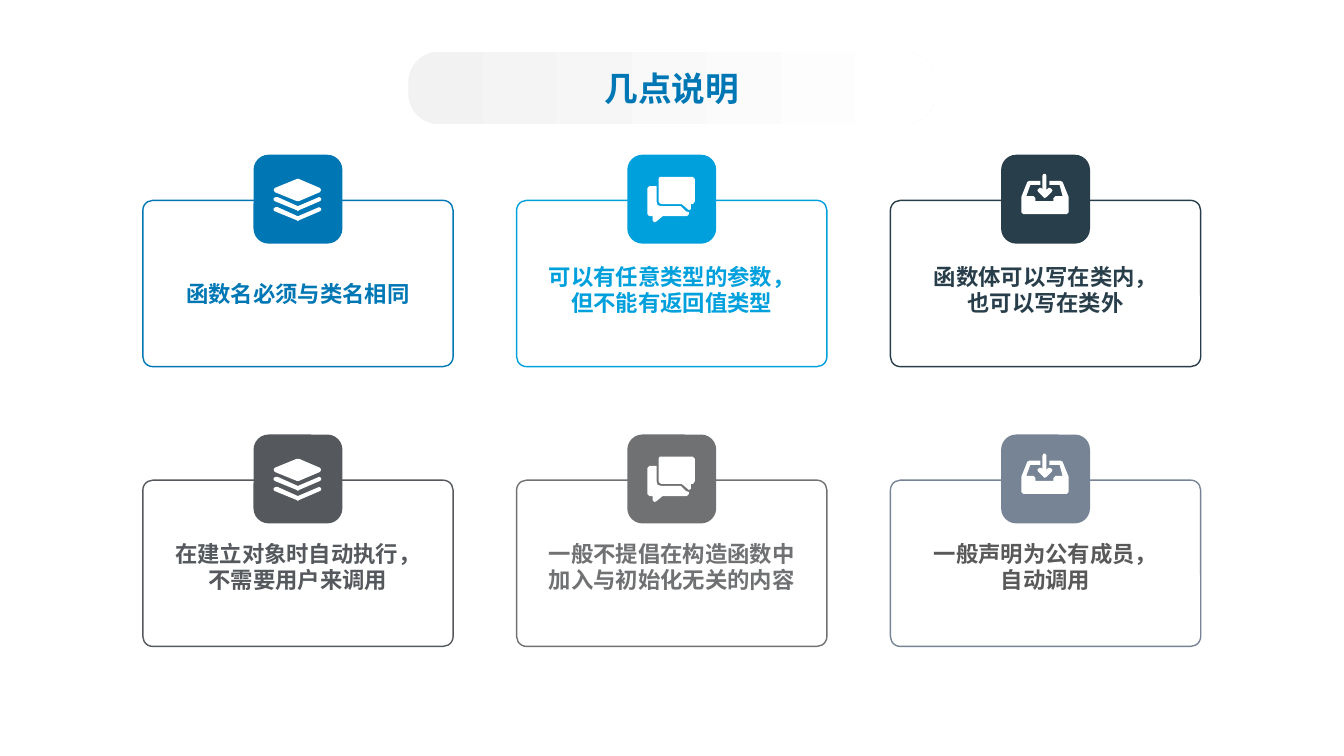
from pptx import Presentation
from pptx.dml.color import RGBColor
from pptx.enum.shapes import MSO_SHAPE
from pptx.enum.text import MSO_ANCHOR, PP_ALIGN
from pptx.util import Cm, Pt

ROUNDED = MSO_SHAPE.ROUNDED_RECTANGLE
CENTER = PP_ALIGN.CENTER
MIDDLE = MSO_ANCHOR.MIDDLE

TITLE = "几点说明"
TITLE_COLOR = "0077B5"
TITLE_GRADIENT = [(0, "F2F2F2"), (0.99, "FFFFFF")]

# Lines, card colour, text colour, text offset below the card top in cm
NOTES = [
    ("函数名必须与类名相同", "0077B5", "0077B5", 2.0),
    ("可以有任意类型的参数，\n但不能有返回值类型", "00A0DC", "00A0DC", 1.57),
    ("函数体可以写在类内，\n也可以写在类外", "283E4A", "283E4A", 1.57),
    ("在建立对象时自动执行，\n不需要用户来调用", "55595D", "55595D", 1.5),
    ("一般不提倡在构造函数中\n加入与初始化无关的内容", "6F7173", "6F7173", 1.5),
    ("一般声明为公有成员，\n自动调用", "778495", "595959", 1.5),
]

# Icon outlines, in hundredths of an inch from the badge corner
SHEET_TOP = [(66, 37), (45, 46), (43, 46), (21, 37), (20, 35), (21, 33),
             (43, 24), (45, 24), (66, 33), (67, 35)]
SHEET_EDGE = [(66, 46), (45, 55), (44, 56), (43, 55), (21, 46), (20, 45),
              (20, 43), (22, 42), (24, 42), (44, 51), (65, 42), (67, 43), (67, 45)]
LAYERS = [SHEET_TOP, SHEET_EDGE, [(x, y + 10) for x, y in SHEET_EDGE]]
CHAT = [
    [(65, 49), (63, 49), (63, 54), (61, 55), (60, 54), (54, 49), (34, 49),
     (32, 48), (31, 46), (31, 24), (32, 22), (34, 22), (65, 22), (67, 24),
     (67, 46), (66, 48)],
    [(53, 51), (58, 56), (61, 57), (61, 59), (59, 61), (35, 61), (29, 66),
     (27, 67), (25, 65), (25, 61), (22, 61), (20, 59), (20, 33), (22, 31),
     (29, 31), (29, 46), (30, 50), (34, 51)],
]
INBOX = [
    [(65, 59), (22, 59), (20, 57), (20, 42), (26, 27), (28, 26), (39, 26),
     (39, 30), (29, 30), (25, 41), (32, 41), (34, 43), (34, 46), (52, 46),
     (52, 43), (54, 41), (61, 41), (58, 30), (48, 30), (48, 26), (59, 26),
     (61, 27), (67, 42), (67, 57)],
    [(51, 35), (50, 37), (45, 42), (43, 43), (42, 42), (37, 37), (36, 35),
     (38, 33), (40, 33), (41, 35), (41, 21), (42, 19), (44, 19), (45, 21),
     (45, 35), (47, 33), (49, 33)],
]
ICONS = [LAYERS, CHAT, INBOX]
ICON_UNIT = Cm(2.54) / 100

COLUMNS = 3
GRID_LEFT, GRID_TOP = 3.6, 5.05
PITCH_X, PITCH_Y = 9.42, 7.05
CARD_W, CARD_H = 7.82, 4.19
BADGE, BADGE_RISE = 2.24, 1.15
TEXT_W = 7.11


def rgb(hex_color):
    return RGBColor.from_string(hex_color)


def paint(shape, fill=None, line=None):
    shape.shadow.inherit = False
    if fill:
        shape.fill.solid()
        shape.fill.fore_color.rgb = rgb(fill)
    else:
        shape.fill.background()
    if line:
        shape.line.color.rgb = rgb(line)
        shape.line.width = Pt(1)
    else:
        shape.line.fill.background()


def rounded(left, top, width, height, corner):
    shape = slide.shapes.add_shape(ROUNDED, Cm(left), Cm(top), Cm(width), Cm(height))
    shape.adjustments[0] = corner
    return shape


def write(frame, text, font_name, size, color):
    frame.text = text
    for paragraph in frame.paragraphs:
        paragraph.alignment = CENTER
        for run in paragraph.runs:
            run.font.name = font_name
            run.font.size = Pt(size)
            run.font.bold = True
            run.font.color.rgb = rgb(color)


def add_icon(outlines, left, top):
    first, *others = outlines
    builder = slide.shapes.build_freeform(*first[0], scale=ICON_UNIT)
    builder.add_line_segments(first[1:], close=True)
    for outline in others:
        builder.move_to(*outline[0])
        builder.add_line_segments(outline[1:], close=True)
    paint(builder.convert_to_shape(Cm(left), Cm(top)), fill="FFFFFF")


def add_note(index, text, color, text_color, text_offset):
    row, column = divmod(index, COLUMNS)
    left = GRID_LEFT + column * PITCH_X
    top = GRID_TOP + row * PITCH_Y
    paint(rounded(left, top, CARD_W, CARD_H, 0.06), line=color)

    badge_left = left + (CARD_W - BADGE) / 2
    badge_top = top - BADGE_RISE
    paint(rounded(badge_left, badge_top, BADGE, BADGE, 0.17), fill=color)
    add_icon(ICONS[column], badge_left, badge_top)

    text_left = left + (CARD_W - TEXT_W) / 2
    text_height = 0.68 * len(text.splitlines())
    frame = slide.shapes.add_textbox(Cm(text_left), Cm(top + text_offset),
                                     Cm(TEXT_W), Cm(text_height)).text_frame
    frame.margin_left = frame.margin_right = 0
    frame.margin_top = frame.margin_bottom = 0
    frame.word_wrap = False
    write(frame, text, "Arial", 16, text_color)


def add_title():
    banner = rounded(10.29, 1.3, 13.28, 1.83, 0.42)
    paint(banner)
    banner.fill.gradient()
    banner.fill.gradient_angle = 0
    for stop, (position, color) in zip(banner.fill.gradient_stops, TITLE_GRADIENT):
        stop.position = position
        stop.color.rgb = rgb(color)
    banner.text_frame.vertical_anchor = MIDDLE
    write(banner.text_frame, TITLE, "Noto Sans CJK SC", 24, TITLE_COLOR)


presentation = Presentation()
presentation.slide_width, presentation.slide_height = Cm(33.87), Cm(19.05)
slide = presentation.slides.add_slide(presentation.slide_layouts[6])
for index, note in enumerate(NOTES):
    add_note(index, *note)
add_title()
presentation.save("out.pptx")
